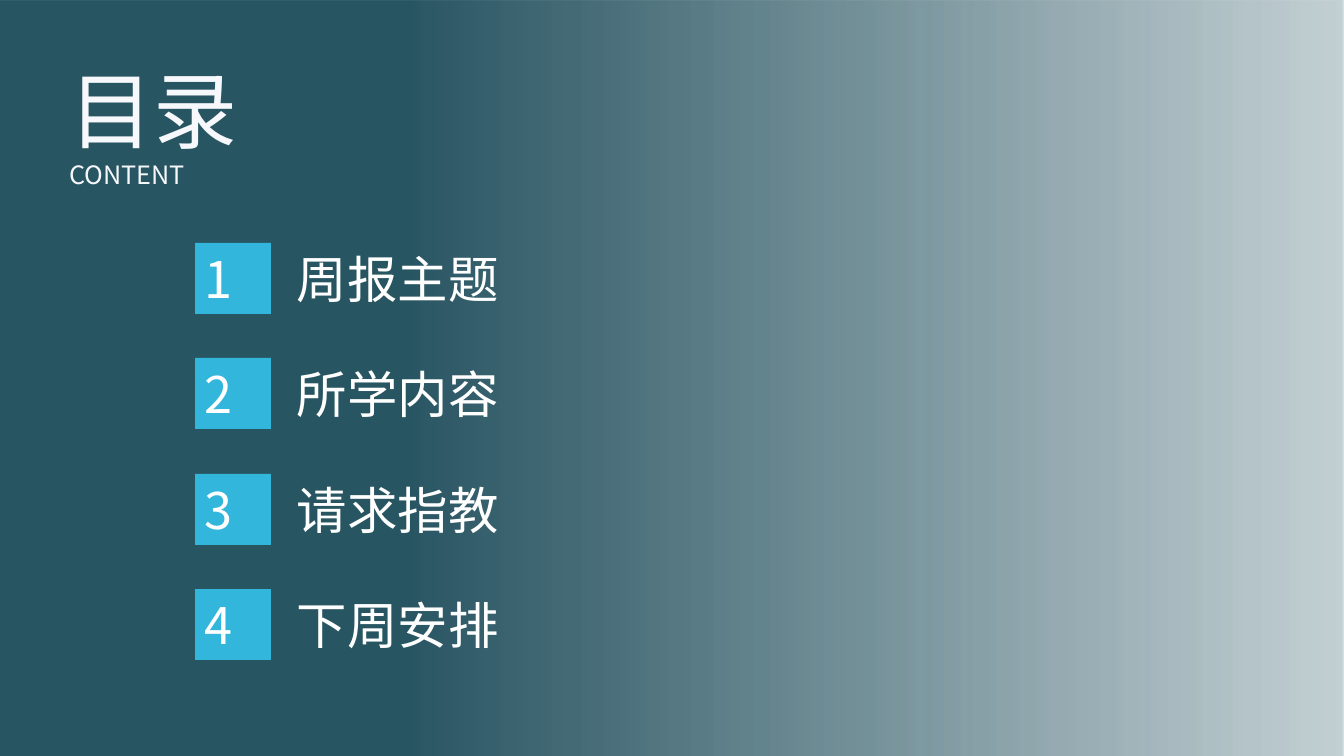
from dataclasses import dataclass

from lxml.etree import SubElement
from pptx import Presentation
from pptx.dml.color import RGBColor as Rgb
from pptx.enum.shapes import MSO_SHAPE as Shape
from pptx.enum.text import MSO_ANCHOR as Anchor, MSO_AUTO_SIZE as AutoSize, PP_ALIGN as Align
from pptx.oxml.ns import qn
from pptx.util import Emu, Pt

EMU_PER_PX = 914400 / 100.8
SLIDE_WIDTH, SLIDE_HEIGHT = 1344, 756


@dataclass(frozen=True)
class Theme:
    backdrop: str = "0D3F4E"
    badge: str = "32B6DC"
    title: str = "F6F8FC"
    item: str = "FFFFFF"
    title_font: str = "Noto Sans CJK JP"
    item_font: str = "Noto Sans CJK SC"
    title_size: int = 60
    subtitle_size: int = 18
    item_size: int = 36


THEME = Theme()
ITEMS = ["周报主题", "所学内容", "请求指教", "下周安排"]
FIRST_TOP, LAST_TOP = 243, 589
ROW_HEIGHT = 71


def px(length):
    return Emu(round(length * EMU_PER_PX))


def box(left, top, width, height):
    return [px(length) for length in (left, top, width, height)]


def set_values(target, values):
    for name, value in values.items():
        setattr(target, name, value)


def write_paragraph(paragraph, text, font_name, size, color, align):
    """Put one formatted run into a paragraph, for Latin and East Asian text."""
    paragraph.alignment = align
    run = paragraph.add_run()
    run.text = text
    set_values(run.font, {"name": font_name, "size": Pt(size)})
    run.font.color.rgb = Rgb.from_string(color)
    SubElement(run.font._element, qn("a:ea"), typeface=font_name)


def format_frame(frame, anchor=Anchor.TOP):
    set_values(frame, {"word_wrap": True, "auto_size": AutoSize.NONE,
                       "vertical_anchor": anchor})


def add_rectangle(slide, left, top, width, height):
    shape = slide.shapes.add_shape(Shape.RECTANGLE, *box(left, top, width, height))
    shape.shadow.inherit = False
    shape.line.fill.background()
    return shape


def add_backdrop(slide):
    fill = add_rectangle(slide, 0, 0, SLIDE_WIDTH, SLIDE_HEIGHT).fill
    fill.gradient()
    fill.gradient_angle = 0
    for stop, (position, opacity) in zip(fill.gradient_stops, [(0.3, 88), (1, 24)]):
        stop.position = position
        stop.color.rgb = Rgb.from_string(THEME.backdrop)
        color = stop.color._xFill.find(qn("a:srgbClr"))
        SubElement(color, qn("a:alpha"), val=str(opacity * 1000))


def add_title(slide):
    title = slide.shapes.title
    # Draw the heading above the backdrop
    slide.shapes._spTree.append(title._element)
    set_values(title, dict(zip(("left", "top", "width", "height"), box(59, 53, 264, 146))))
    frame = title.text_frame
    format_frame(frame)
    write_paragraph(frame.paragraphs[0], "目录", THEME.title_font,
                    THEME.title_size, THEME.title, Align.JUSTIFY)
    write_paragraph(frame.add_paragraph(), "CONTENT", THEME.title_font,
                    THEME.subtitle_size, THEME.title, Align.JUSTIFY)


def add_item(slide, number, text, top):
    badge = add_rectangle(slide, 195, top, 76, ROW_HEIGHT)
    badge.fill.solid()
    badge.fill.fore_color.rgb = Rgb.from_string(THEME.badge)
    label = slide.shapes.add_textbox(*box(287, top, 326, ROW_HEIGHT))
    for shape, content, align in ((badge, str(number), Align.LEFT),
                                  (label, text, Align.JUSTIFY)):
        format_frame(shape.text_frame)
        write_paragraph(shape.text_frame.paragraphs[0], content, THEME.item_font,
                        THEME.item_size, THEME.item, align)


def main():
    presentation = Presentation()
    set_values(presentation, {"slide_width": px(SLIDE_WIDTH), "slide_height": px(SLIDE_HEIGHT)})
    slide = presentation.slides.add_slide(presentation.slide_layouts[5])

    # Background and heading
    add_backdrop(slide)
    add_title(slide)

    # Numbered contents, evenly spaced
    pitch = (LAST_TOP - FIRST_TOP) / (len(ITEMS) - 1)
    for index, text in enumerate(ITEMS):
        add_item(slide, index + 1, text, FIRST_TOP + round(index * pitch))

    presentation.save("out.pptx")


if __name__ == "__main__":
    main()
